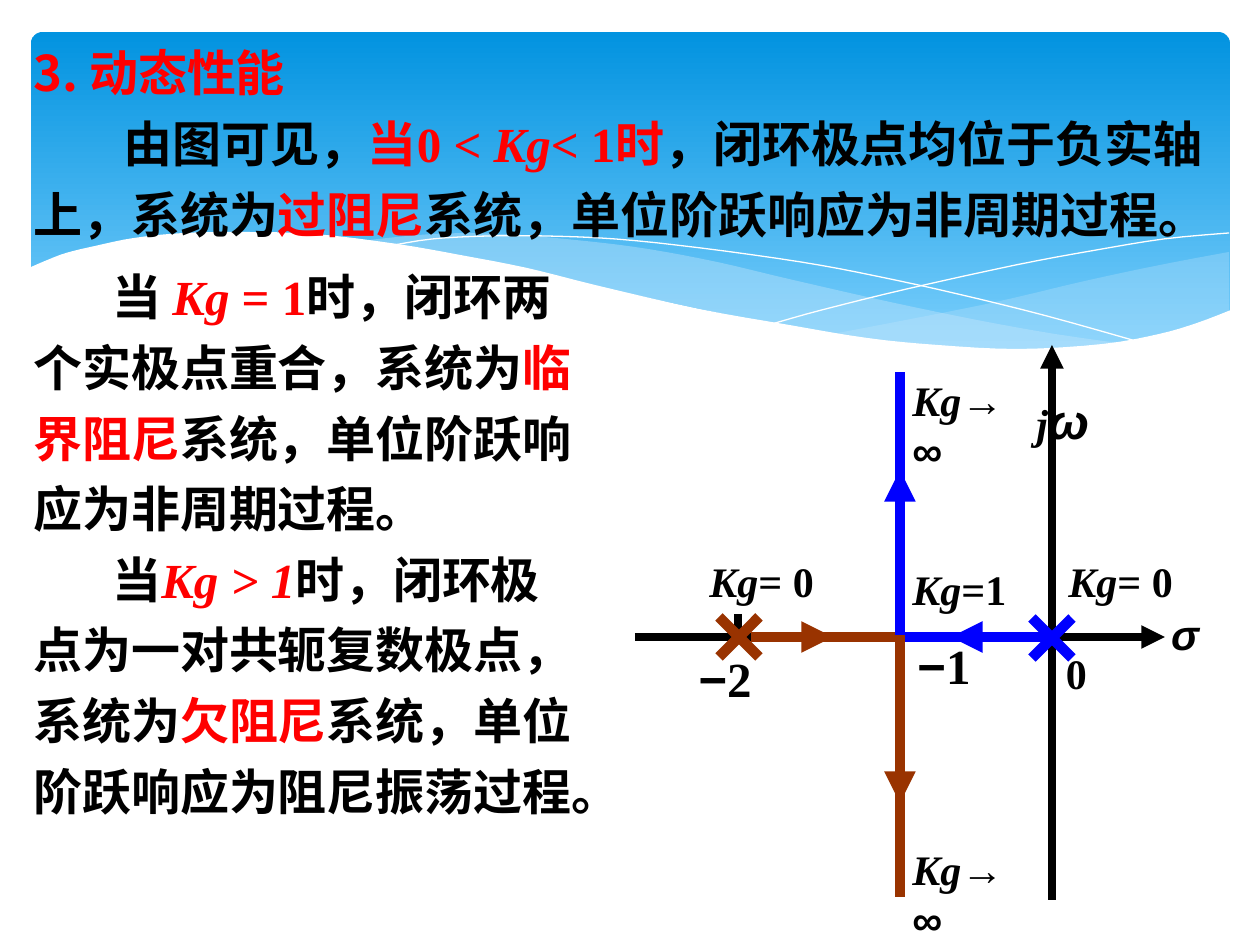
from lxml import etree
from pptx import Presentation
from pptx import util as u
from pptx.dml.color import RGBColor
from pptx.enum import shapes, text
from pptx.oxml.ns import qn

PX = 914400 / 126
BLACK, RED, BLUE, BROWN, WHITE = "000000", "FF0000", "0000FF", "993300", "FFFFFF"
PALE = "C6E7FC"
SERIF, SANS, CJK = "Times New Roman", "Arial", "Noto Sans CJK SC"

# Key points of the header waves, in px
BAND_RIGHT = [
    [(1229, 252), (1160, 265), (1085, 281), (982, 305), (833, 334)],
    [(833, 334), (905, 344), (969, 349), (1026, 350), (1087, 347), (1150, 336),
     (1196, 324), (1229, 311)]]
BAND_WIDE = [
    [(1125, 344), (1055, 334), (977, 320), (890, 302), (793, 280), (717, 262),
     (648, 249), (585, 241), (503, 234), (433, 234), (360, 241)],
    [(360, 241), (431, 251), (509, 266), (566, 280), (668, 302), (757, 321),
     (838, 335), (910, 345), (974, 350), (1031, 352), (1080, 349), (1125, 344)]]
THIN_FALLING = [(389, 246), (432, 239), (488, 236), (546, 236), (616, 239), (701, 248),
                (801, 262), (876, 276), (958, 294), (1047, 316), (1143, 343)]
THIN_RISING = [(772, 324), (822, 310), (907, 289), (1016, 265), (1091, 251),
               (1164, 239), (1229, 233)]
WHITE_EDGE = [(1231, 310), (1197, 323), (1159, 334), (1103, 344), (1019, 349), (937, 345),
              (867, 338), (789, 325), (699, 309), (599, 286), (527, 268), (460, 255),
              (397, 244), (315, 234), (243, 232), (184, 233), (134, 238), (95, 246),
              (66, 253), (45, 261), (29, 268)]


def px(n):
    return u.Emu(round(n * PX))


def rgb(value):
    return RGBColor.from_string(value)


def smooth(points, steps=4):
    """Catmull-Rom curve through the key points."""
    ends = [points[0], *points, points[-1]]
    curve = [points[0]]
    for a, b, c, d in zip(ends, ends[1:], ends[2:], ends[3:]):
        for k in range(1, steps + 1):
            t = k / steps
            curve.append(tuple(
                (2 * q + (r - p) * t + (2 * p - 5 * q + 4 * r - s) * t ** 2
                 + (3 * q - p - 3 * r + s) * t ** 3) / 2
                for p, q, r, s in zip(a, b, c, d)))
    return curve


def add_wave(s, points, fill=None, alpha=None, line=None):
    emu = [(px(x), px(y)) for x, y in points]
    builder = s.shapes.build_freeform(*emu[0])
    builder.add_line_segments(emu[1:], close=fill is not None)
    sp = builder.convert_to_shape()
    sp.shadow.inherit = False
    if fill:
        sp.fill.solid()
        sp.fill.fore_color.rgb = rgb(fill)
        sp.line.fill.background()
    else:
        sp.fill.background()
        sp.line.color.rgb = rgb(line)
        sp.line.width = u.Pt(0)
    if alpha:
        color = sp._element.spPr.find(".//" + qn("a:srgbClr"))
        etree.SubElement(color, qn("a:alpha"), val=str(alpha * 1000))


def add_header(s):
    sp = s.shapes.add_shape(shapes.MSO_SHAPE.ROUNDED_RECTANGLE,
                            px(31), px(32), px(1199), px(340))
    sp.adjustments[0] = 0.034
    sp.shadow.inherit = False
    sp.line.fill.background()
    sp.fill.gradient()
    sp.fill.gradient_angle = 270
    for stop, color, at in zip(sp.fill.gradient_stops, ("0293E0", "83D3FE"), (0, 1)):
        stop.color.rgb = rgb(color)
        stop.position = at
    for (upper, lower), alpha in ((BAND_RIGHT, 29), (BAND_WIDE, 40)):
        add_wave(s, smooth(upper) + smooth(lower), fill=PALE, alpha=alpha)
    for points in (THIN_FALLING, THIN_RISING):
        add_wave(s, smooth(points), line=WHITE)
    add_wave(s, smooth(WHITE_EDGE) + [(29, 415), (1231, 415)], fill=WHITE)


def add_line(s, start, end, color, width=6, arrow=False):
    line = s.shapes.add_connector(shapes.MSO_CONNECTOR.STRAIGHT,
                                  px(start[0]), px(start[1]), px(end[0]), px(end[1]))
    line.line.color.rgb = rgb(color)
    line.line.width = u.Pt(width)
    if arrow:
        etree.SubElement(line.line._get_or_add_ln(), qn("a:tailEnd"), type="triangle")
    etree.SubElement(line._element.spPr, qn("a:effectLst"))


def add_pole(s, x, y, color, arm=20):
    for slope in (1, -1):
        add_line(s, (x - arm, y - slope * arm), (x + arm, y + slope * arm), color)


def add_run(p, words, size=28, font=SERIF, color=BLACK, italic=False):
    r = p.add_run()
    r.text = words
    f = r.font
    f.size, f.name, f.bold, f.italic = u.Pt(size), font, True, italic
    f.color.rgb = rgb(color)
    etree.SubElement(r._r.get_or_add_rPr(), qn("a:ea"), typeface=CJK)


def add_text(s, box, paragraphs, align=text.PP_ALIGN.LEFT, spacing=None, wrap=True):
    """Each paragraph is a first-line indent and a list of (words, format) runs."""
    tf = s.shapes.add_textbox(*map(px, box)).text_frame
    tf.word_wrap = wrap
    for i, (indent, runs) in enumerate(paragraphs):
        p = tf.add_paragraph() if i else tf.paragraphs[0]
        p.alignment = align
        if spacing:
            p.line_spacing = spacing
        if indent:
            p._p.get_or_add_pPr().set("indent", str(px(indent)))
        for words, form in runs:
            add_run(p, words, **form)


def add_label(s, box, *runs, align=text.PP_ALIGN.LEFT):
    add_text(s, box, [(0, runs)], align=align, wrap=False)


def add_root_locus(s):
    axis_x, axis_y, branch_x, left_x = 1052, 637, 900, 738
    small, small_italic = dict(size=24), dict(size=24, italic=True)
    center = text.PP_ALIGN.CENTER

    # Axes and ticks
    add_line(s, (axis_x, 900), (axis_x, 345), BLACK, 4.5, arrow=True)
    add_line(s, (635, axis_y), (1165, axis_y), BLACK, 4.5, arrow=True)
    for x in (left_x, branch_x):
        add_line(s, (x, 614), (x, axis_y), BLACK, 4.5)

    # Branches, each with a short arrow on it
    for start, end, tail, tip, color in (
            ((1045, axis_y), (branch_x, axis_y), (993, axis_y), (951, axis_y), BLUE),
            ((branch_x, axis_y), (751, axis_y), (791, axis_y), (833, axis_y), BROWN),
            ((branch_x, 635), (branch_x, 897), (branch_x, 762), (branch_x, 803), BROWN),
            ((branch_x, 635), (branch_x, 372), (branch_x, 510), (branch_x, 470), BLUE)):
        add_line(s, start, end, color)
        add_line(s, tail, tip, color, arrow=True)
    add_pole(s, axis_x, 638, BLUE)
    add_pole(s, left_x + 1, axis_y, BROWN)

    # Axis labels
    add_label(s, (1024, 384, 112, 72), ("j", small_italic),
              ("ω", dict(font=SANS, italic=True)))
    add_label(s, (1149, 602, 72, 63), ("σ", dict(size=24, font=SANS, italic=True)),
              align=center)
    add_label(s, (1048, 641, 57, 63), ("0", small), align=center)
    for left, top, digit in ((678, 642, "2"), (897, 629, "1")):
        add_label(s, (left, top, 94, 72), ("−", dict(font=SANS)), (digit, {}), align=center)

    # Gain labels
    infinity = ("→∞", dict(size=24, font=SANS))
    for left, top, value in ((1056, 549, ("= 0", small)), (697, 549, ("= 0", small)),
                             (900, 557, ("=1", small)), (900, 368, infinity),
                             (900, 837, infinity)):
        add_label(s, (left, top, 130, 63), ("Kg", small_italic), value)


def add_body(s):
    red, red_italic = dict(color=RED), dict(color=RED, italic=True)
    add_text(s, (21, 25, 1225, 295), [
        (0, [("3. 动态性能", dict(font=CJK, color=RED))]),
        (90, [("由图可见，", {}), ("当0 < ", red), ("Kg", red_italic), ("< 1时", red),
              ("，闭环极点均位于负实轴上，系统为", {}), ("过阻尼", red),
              ("系统，单位阶跃响应为非周期过程。", {})]),
    ], spacing=1.2)
    add_text(s, (21, 249, 572, 648), [
        (79, [("当 ", {}), ("Kg", red_italic), (" = 1", red),
              ("时，闭环两个实极点重合，系统为", {}), ("临界阻尼", red),
              ("系统，单位阶跃响应为非周期过程。", {})]),
        (79, [("当", {}), ("Kg > 1", red_italic),
              ("时，闭环极点为一对共轭复数极点，系统为", {}), ("欠阻尼", red),
              ("系统，单位阶跃响应为阻尼振荡过程。", {})]),
    ], spacing=1.2)


def main():
    prs = Presentation()
    prs.slide_width, prs.slide_height = px(1260), px(945)
    s = prs.slides.add_slide(prs.slide_layouts[6])
    add_header(s)
    add_root_locus(s)
    add_body(s)
    prs.save("out.pptx")


if __name__ == "__main__":
    main()
